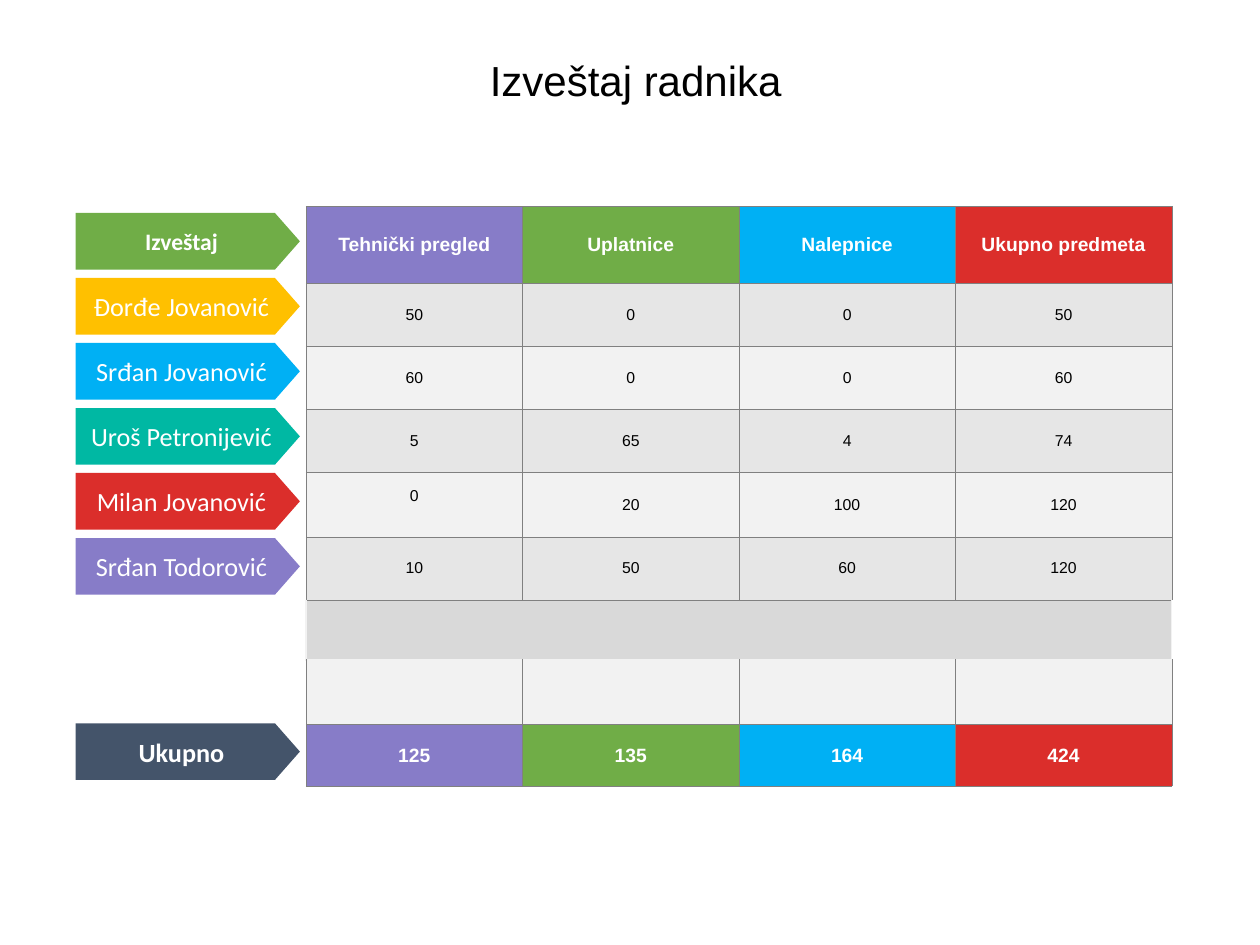
from lxml import etree
from pptx import Presentation
from pptx.dml.color import RGBColor as RGB
from pptx.enum.shapes import MSO_SHAPE as Kind
from pptx.enum.text import MSO_ANCHOR as Anchor, MSO_AUTO_SIZE as Fit, PP_ALIGN as Align
from pptx.oxml.ns import qn
from pptx.util import Inches, Pt

HUES = {
    "purple": "877CC8", "green": "70AD47", "blue": "00B0F4", "red": "DB2E2B",
    "amber": "FFC000", "teal": "00B8A3", "slate": "44546A", "white": "FFFFFF",
    "black": "000000", "dark": "E6E6E6", "light": "F2F2F2", "band": "D9D9D9",
    "rule": "808080",
}
COLS = ["purple", "green", "blue", "red"]
HEAD = ["Tehnički pregled", "Uplatnice", "Nalepnice", "Ukupno predmeta"]
STAFF = [
    ("Đorđe Jovanović", "amber", [50, 0, 0, 50]),
    ("Srđan Jovanović", "blue", [60, 0, 0, 60]),
    ("Uroš Petronijević", "teal", [5, 65, 4, 74]),
    ("Milan Jovanović", "red", [0, 20, 100, 120]),
    ("Srđan Todorović", "purple", [10, 50, 60, 120]),
]
TOTAL = [125, 135, 164, 424]
ROWS = [0.61, 0.5, 0.5, 0.5, 0.51, 0.5, 0.48, 0.51, 0.49]
GAP, LAST = 6, 8


def hue(name):
    """Return the colour with this name."""
    return RGB.from_string(HUES[name])


def write(frame, text, size=9, font="Arial", color="black", bold=False):
    """Put one centred, formatted line in a text frame."""
    para = frame.paragraphs[0]
    para.alignment = Align.CENTER
    run = para.add_run()
    run.text = str(text)
    run.font.size, run.font.name, run.font.bold = Pt(size), font, bold
    run.font.color.rgb = hue(color)


def inset(box):
    """Set the narrow margins shared by cells and labels."""
    box.margin_left = box.margin_right = Inches(0.07)
    box.margin_top = box.margin_bottom = Inches(0.04)
    box.vertical_anchor = Anchor.MIDDLE


def edge(cell, **sides):
    """Draw cell borders; each side is a colour name and a width."""
    props = cell._tc.get_or_add_tcPr()
    for spot, side in enumerate("LRTB"):
        color, width = sides.get(side, ("rule", 0.25))
        line = etree.Element(qn(f"a:ln{side}"), w=str(Pt(width)))
        fill = etree.SubElement(line, qn("a:solidFill"))
        etree.SubElement(fill, qn("a:srgbClr"), val=HUES[color])
        props.insert(spot, line)


class Deck:
    """Holds the style and the current slide."""

    def __init__(self):
        """Open a blank deck with one title-only slide."""
        self.prs = Presentation()
        self.prs.slide_width, self.prs.slide_height = Inches(10), Inches(7.5)
        self.slide = self.prs.slides.add_slide(self.prs.slide_layouts[5])

    def title(self, text):
        """Place and format the title."""
        box = self.slide.shapes.title
        box.left, box.top = Inches(0.21), Inches(0.38)
        box.width, box.height = Inches(9.67), Inches(0.5)
        frame = box.text_frame
        frame.word_wrap, frame.auto_size = True, Fit.NONE
        frame.vertical_anchor = Anchor.TOP
        write(frame, text, size=24)

    def label(self, text, color, top, size=15, bold=False):
        """Add a row label that points at the table."""
        box = self.slide.shapes.add_shape(
            Kind.PENTAGON, Inches(0.6), Inches(top), Inches(1.78), Inches(0.45))
        box.adjustments[0] = 0.44
        box.shadow.inherit = False
        box.fill.solid()
        box.fill.fore_color.rgb = hue(color)
        box.line.fill.background()
        inset(box.text_frame)
        box.text_frame.word_wrap = True
        write(box.text_frame, text, size=size, font="Calibri", color="white", bold=bold)

    def cell(self, cell, back, text="", **form):
        """Fill one table cell and write its text."""
        cell.fill.solid()
        cell.fill.fore_color.rgb = hue(back)
        inset(cell)
        if text != "":
            write(cell.text_frame, text, **form)

    def table(self):
        """Add the report table."""
        grid = self.slide.shapes.add_table(
            len(ROWS), len(COLS), Inches(2.43), Inches(1.64),
            Inches(6.87), Inches(sum(ROWS))).table
        for row, high in zip(grid.rows, ROWS):
            row.height = Inches(high)
        data = [HEAD] + [vals for _, _, vals in STAFF] + [[""] * 4] * 2 + [TOTAL]
        pale = ("light", 1)
        for r, vals in enumerate(data):
            for c, val in enumerate(vals):
                cell = grid.cell(r, c)
                if r in (0, LAST):
                    self.cell(cell, COLS[c], val, size=11, color="white", bold=True)
                elif r == GAP:
                    self.cell(cell, "band")
                else:
                    self.cell(cell, "dark" if r % 2 and r < GAP else "light", val)
                if r == GAP:
                    edge(cell, L=pale, R=pale, B=pale)
                elif r == GAP + 1:
                    edge(cell, T=pale)
                else:
                    edge(cell)
        grid.cell(GAP, 0).merge(grid.cell(GAP, 3))
        grid.cell(4, 0).margin_bottom = Inches(0.18)


def main():
    """Build the worker report slide."""
    deck = Deck()
    deck.table()
    deck.title("Izveštaj radnika")
    deck.label("Izveštaj", "green", 1.69, size=13.5, bold=True)
    for i, (name, color, _) in enumerate(STAFF, 1):
        deck.label(name, color, 1.69 + 0.516 * i)
    deck.label("Ukupno", "slate", 5.74, bold=True)
    deck.prs.save("out.pptx")


main()
